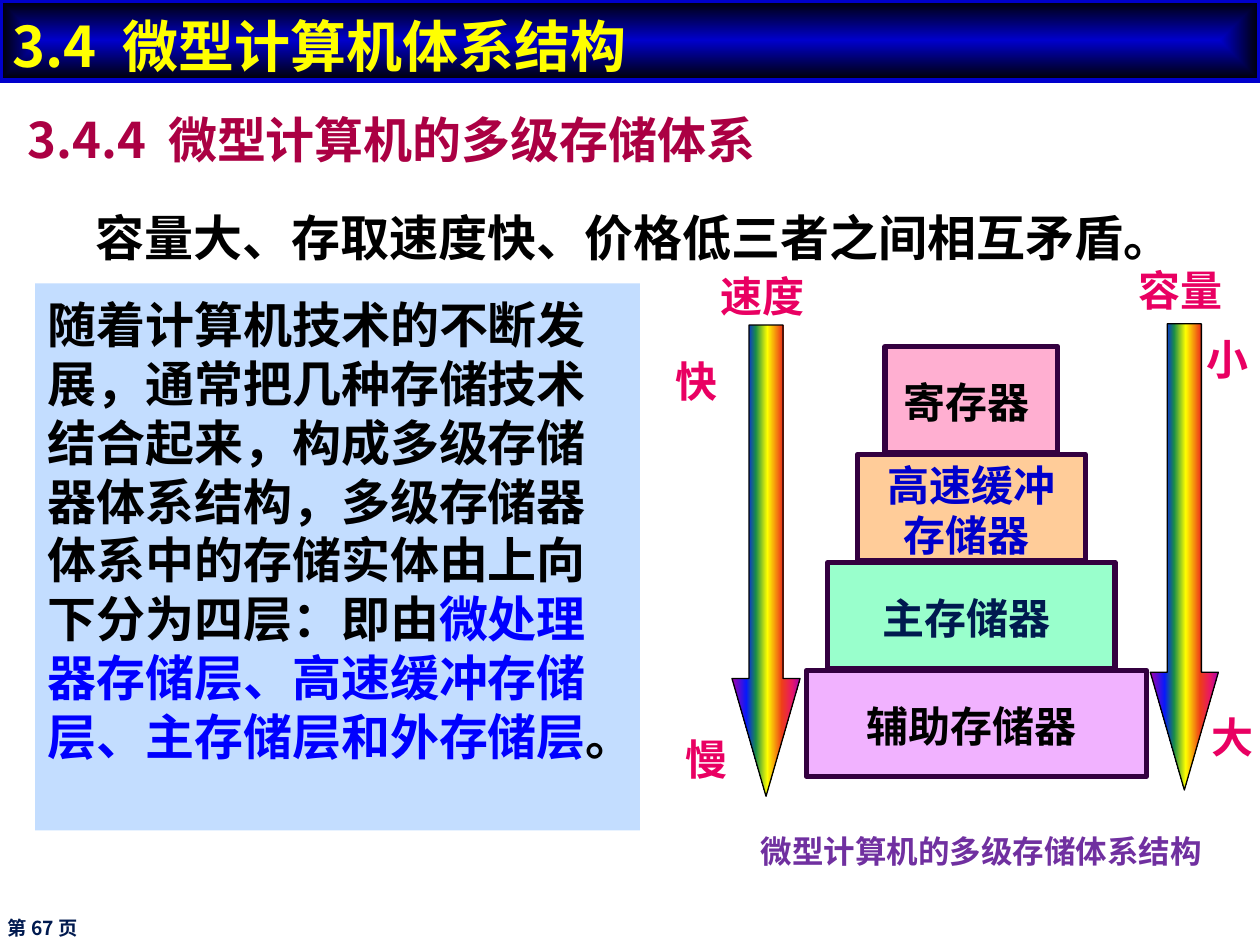
from dataclasses import dataclass

from lxml.etree import SubElement
from pptx import Presentation
from pptx.dml.color import RGBColor
from pptx.enum.shapes import MSO_SHAPE
from pptx.enum.text import MSO_ANCHOR, MSO_AUTO_SIZE, PP_ALIGN
from pptx.oxml import parse_xml
from pptx.oxml.ns import nsdecls, qn
from pptx.util import Inches, Pt


@dataclass(frozen=True)
class Theme:
    heading_font: str = "Noto Sans CJK JP"
    body_font: str = "Noto Sans CJK SC"
    title_size: int = 32
    body_size: int = 28
    label_size: int = 24
    caption_size: int = 18
    footer_size: int = 11
    line_spacing: float = 1.2
    black: str = "000000"
    yellow: str = "FFFF00"
    navy: str = "001A4F"
    royal: str = "0000CC"
    blue: str = "0000FF"
    crimson: str = "AB0043"
    pink: str = "E90062"
    purple: str = "7030A0"
    panel: str = "C3DDFF"
    tier_line: str = "340040"


THEME = Theme()
WIDTH, HEIGHT = Inches(10), Inches(7.5)
COLUMN, ROW = WIDTH / 100, HEIGHT / 75

TITLE = "3.4  微型计算机体系结构"
HEADINGS = [
    ((1.2, 7.8, 78.9, 5.7), 0.1, "3.4.4  微型计算机的多级存储体系", THEME.crimson),
    ((2.8, 15.6, 93.7, 5.7), 0.48, "容量大、存取速度快、价格低三者之间相互矛盾。", THEME.black),
]
PANEL_AREA = (2.8, 22.5, 48, 43.4)
PANEL_RUNS = [
    ("随着计算机技术的不断发展，通常把几种存储技术结合起来，构成多级存储器体系结构，"
     "多级存储器体系中的存储实体由上向下分为四层：即由", THEME.black),
    ("微处理器存储层、高速缓冲存储层、主存储层和外存储层", THEME.blue),
    ("。", THEME.black),
]
CAPTION = ((59.4, 65.1, 37.4, 4), "微型计算机的多级存储体系结构")
FOOTER = ((-0.4, 71.5, 26.7, 3.8), "第 67 页")
TIER_TOP, TIER_PITCH, TIER_HEIGHT = 27.5, 8.57, 8.4
TIERS = [
    (77.1, 13.7, ["寄存器 "], "FFAFD1", THEME.black),
    (77.1, 18.1, ["高速缓冲", "存储器 "], "FFCC99", THEME.royal),
    (77.1, 22.8, ["主存储器 "], "99FFCC", THEME.navy),
    (77.5, 27, ["辅助存储器 "], "F1B2FF", THEME.black),
]
ARROWS = [(58.1, 25.8, 5.4, 37.4), (91.3, 25.7, 5.4, 37)]
LABEL_WIDTH, LABEL_HEIGHT = 11, 5
LABELS = [
    (60.5, 20.6, "速度"), (93.7, 20.1, "容量"), (97.4, 25.6, "小"),
    (97.8, 55.6, "大"), (55.3, 27.3, "快"), (56.1, 57.3, "慢"),
]
TITLE_STOPS = [(0, THEME.royal), (100, THEME.black)]
RAINBOW_STOPS = [(0, "A603AB"), (21, "0819FB"), (35, "1A8D48"), (52, "FFFF00"),
                 (73, "EE3F17"), (88, "E81766"), (100, "A603AB")]
CENTRE_PATH = '<a:path path="shape"><a:fillToRect l="50000" t="50000" r="50000" b="50000"/></a:path>'
ACROSS = '<a:lin ang="0" scaled="1"/>'


def place(shape, area):
    """Set a shape's position and size from grid units."""
    left, top, width, height = area
    shape.left, shape.top = round(left * COLUMN), round(top * ROW)
    shape.width, shape.height = round(width * COLUMN), round(height * ROW)


def add_box(slide, area):
    """Add a text box on the grid."""
    box = slide.shapes.add_textbox(0, 0, 0, 0)
    place(box, area)
    return box


def add_block(slide, kind, area, line_color=None, line_width=0.75):
    """Add a preset shape without a shadow and with an optional outline."""
    shape = slide.shapes.add_shape(kind, 0, 0, 0, 0)
    place(shape, area)
    shape.shadow.inherit = False
    outline(shape, line_color, line_width)
    return shape


def outline(shape, color, width):
    """Draw or remove a shape's outline."""
    if color is None:
        shape.line.fill.background()
        return
    shape.line.color.rgb = RGBColor.from_string(color)
    shape.line.width = Pt(width)


def paint(shape, color):
    """Fill a shape with one colour."""
    shape.fill.solid()
    shape.fill.fore_color.rgb = RGBColor.from_string(color)


def paint_gradient(shape, stops, direction):
    """Fill a shape with a gradient of (percent, colour) stops."""
    paint(shape, stops[0][1])
    stop_xml = "".join(f'<a:gs pos="{percent * 1000}"><a:srgbClr val="{color}"/></a:gs>'
                       for percent, color in stops)
    gradient = parse_xml(f'<a:gradFill {nsdecls("a")} rotWithShape="1">'
                         f'<a:gsLst>{stop_xml}</a:gsLst>{direction}</a:gradFill>')
    properties = shape._element.spPr
    properties.replace(properties.find(qn("a:solidFill")), gradient)


def write(shape, paragraphs, size, font, align=PP_ALIGN.LEFT, anchor=MSO_ANCHOR.TOP,
          wrap=True, margin_left=0.1):
    """Write paragraphs given as lists of (text, colour) runs."""
    frame = shape.text_frame
    frame.auto_size = MSO_AUTO_SIZE.NONE
    frame.word_wrap = wrap
    frame.vertical_anchor = anchor
    frame.margin_left, frame.margin_right = Inches(margin_left), Inches(0.1)
    frame.margin_top, frame.margin_bottom = Inches(0.09), Inches(0.05)
    for index, runs in enumerate(paragraphs):
        paragraph = frame.add_paragraph() if index else frame.paragraphs[0]
        paragraph.alignment = align
        paragraph.line_spacing = Pt(size * THEME.line_spacing)
        paragraph.space_before = Pt(0)
        for text, color in runs:
            run = paragraph.add_run()
            run.text = text
            run.font.size, run.font.bold, run.font.name = Pt(size), True, font
            run.font.color.rgb = RGBColor.from_string(color)
            SubElement(run.font._element, qn("a:ea"), typeface=font)


def main():
    """Build the memory hierarchy slide."""
    presentation = Presentation()
    presentation.slide_width, presentation.slide_height = WIDTH, HEIGHT
    slide = presentation.slides.add_slide(presentation.slide_layouts[5])

    title = slide.shapes.title
    place(title, (0, 0, 100, 6.4))
    paint_gradient(title, TITLE_STOPS, CENTRE_PATH)
    outline(title, THEME.royal, 3)
    write(title, [[(TITLE, THEME.yellow)]], THEME.title_size, THEME.heading_font)

    for area, margin, text, color in HEADINGS:
        write(add_box(slide, area), [[(text, color)]], THEME.body_size, THEME.body_font,
              margin_left=margin)

    area, text = CAPTION
    write(add_box(slide, area), [[(text, THEME.purple)]], THEME.caption_size, THEME.heading_font)
    area, text = FOOTER
    write(add_box(slide, area), [[(text, THEME.navy)]], THEME.footer_size, THEME.body_font,
          anchor=MSO_ANCHOR.MIDDLE)

    panel = add_block(slide, MSO_SHAPE.RECTANGLE, PANEL_AREA)
    paint(panel, THEME.panel)
    write(panel, [PANEL_RUNS], THEME.body_size, THEME.body_font)

    for index, (centre, width, lines, fill, color) in enumerate(TIERS):
        area = (centre - width / 2, TIER_TOP + index * TIER_PITCH, width, TIER_HEIGHT)
        tier = add_block(slide, MSO_SHAPE.RECTANGLE, area, THEME.tier_line, 3)
        paint(tier, fill)
        write(tier, [[(line, color)] for line in lines], THEME.label_size, THEME.heading_font,
              PP_ALIGN.CENTER, MSO_ANCHOR.MIDDLE, wrap=False)

    for area in ARROWS:
        arrow = add_block(slide, MSO_SHAPE.DOWN_ARROW, area, THEME.black)
        arrow.adjustments[0], arrow.adjustments[1] = 0.5, 1.73
        paint_gradient(arrow, RAINBOW_STOPS, ACROSS)

    for centre, top, text in LABELS:
        box = add_box(slide, (centre - LABEL_WIDTH / 2, top, LABEL_WIDTH, LABEL_HEIGHT))
        write(box, [[(text, THEME.pink)]], THEME.label_size, THEME.heading_font, PP_ALIGN.CENTER)

    presentation.save("out.pptx")


if __name__ == "__main__":
    main()
